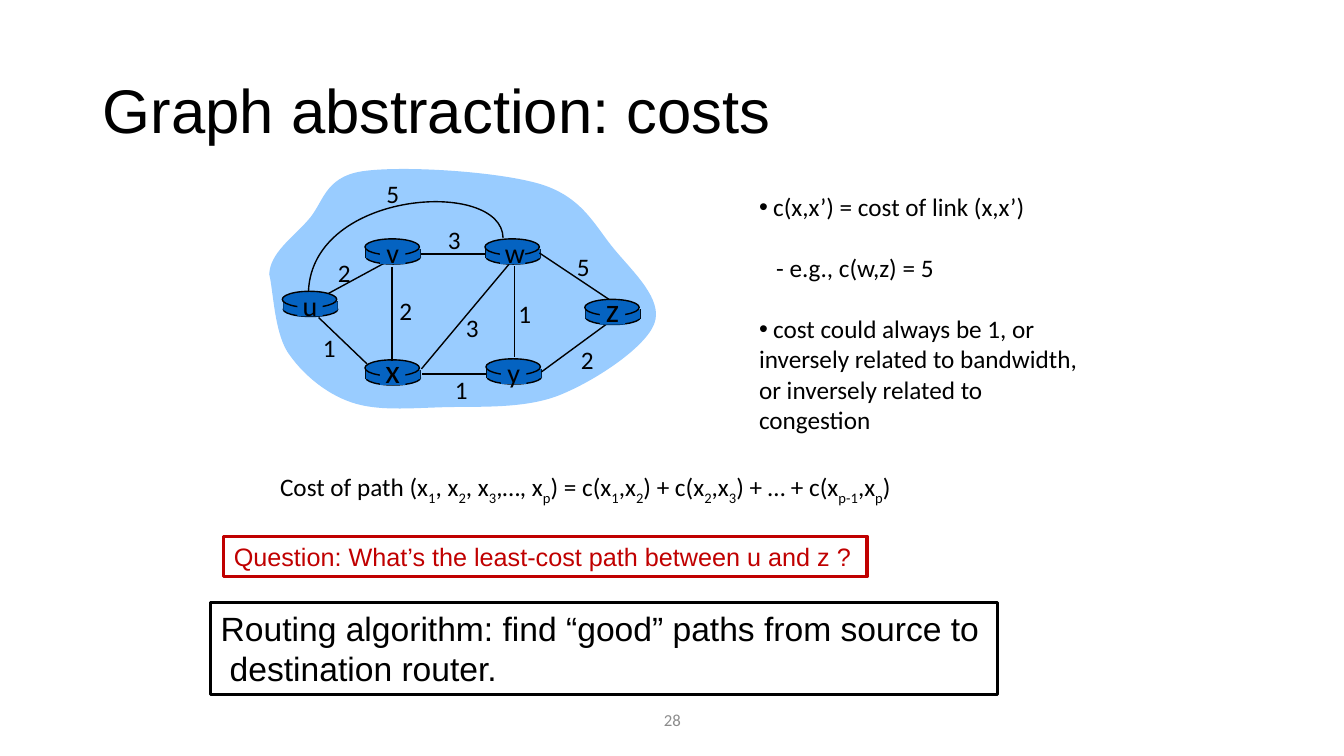
from lxml import etree
from pptx import Presentation
from pptx import util as u
from pptx.dml.color import RGBColor
from pptx.enum import shapes, text
from pptx.oxml.ns import qn

PX = 9144  # 100 px to the inch
BLACK, BLUE, SKY, RED, GREY = "000000", "0563C1", "99CCFF", "C00000", "8C8C8C"
KIND = shapes.MSO_SHAPE
LEFT, MID = text.PP_ALIGN.LEFT, text.PP_ALIGN.CENTER

# Top left of each router's lid, and the size of its name
NODES = {"u": (280, 289, 20), "x": (362, 357, 24), "v": (362, 237, 20),
         "w": (481, 237, 20), "y": (482, 356, 20), "z": (580, 297, 24)}
LINKS = [(510, 264, 510, 354), (389, 265, 389, 358), (418, 366, 505, 262),
         (537, 369, 601, 322), (482, 371, 419, 371), (364, 361, 316, 315),
         (481, 252, 418, 252), (604, 297, 535, 251)]
COSTS = [("2", 325, 250), ("2", 386, 288), ("1", 310, 325), ("3", 452, 305),
         ("1", 441, 366), ("1", 504, 291), ("2", 566, 337), ("5", 562, 244),
         ("3", 434, 218), ("5", 373, 172)]
# Start point, then two handles and an end point for each curve
CLOUD = [(267, 272), (268, 251), (290, 236), (305, 219), (321, 202), (321, 176),
         (359, 170), (398, 164), (495, 170), (537, 183), (578, 196), (590, 224),
         (609, 247), (628, 270), (658, 297), (649, 321), (640, 345), (590, 378),
         (555, 392), (520, 406), (474, 403), (440, 404), (405, 405), (374, 408),
         (348, 399), (322, 390), (299, 370), (285, 349), (272, 328), (271, 288),
         (267, 272)]
ARC = [(499, 236), (498, 177), (310, 188), (306, 289)]


def hue(code):
    return RGBColor.from_string(code)


def px(*vals):
    return [u.Emu(v * PX) for v in vals]


def paint(item, fill=None, line=None, width=1):
    item.shadow.inherit = False
    if fill:
        item.fill.solid()
        item.fill.fore_color.rgb = hue(fill)
    else:
        item.fill.background()
    if line:
        item.line.color.rgb = hue(line)
        item.line.width = u.Pt(width)
    else:
        item.line.fill.background()


def shape(slide, kind, box, fill=None, line=None, width=1):
    item = slide.shapes.add_shape(kind, *px(*box))
    paint(item, fill, line, width)
    return item


def link(slide, ends):
    line = slide.shapes.add_connector(shapes.MSO_CONNECTOR.STRAIGHT, *px(*ends))
    line.line.color.rgb = hue(BLACK)
    line.line.width = u.Pt(1)
    etree.SubElement(line._element.spPr, qn("a:effectLst"))


def curve(slide, points, fill=None, line=None):
    form = slide.shapes.build_freeform(*points[0], scale=PX)
    form.add_line_segments(points[1:], close=bool(fill))
    item = form.convert_to_shape()
    paint(item, fill, line)
    # Turn every three straight steps into one cubic curve
    steps = list(item._element.iter(qn("a:lnTo")))
    for i in range(0, len(steps), 3):
        bend = etree.Element(qn("a:cubicBezTo"))
        steps[i].addprevious(bend)
        for step in steps[i:i + 3]:
            bend.append(step[0])
            step.getparent().remove(step)


def write(para, words, size, font="Calibri", color=BLACK, align=LEFT):
    """Add runs; every second piece between bars is a subscript."""
    para.alignment = align
    for i, part in enumerate(words.split("|")):
        run = para.add_run()
        run.text = part
        run.font.size = u.Pt(size)
        run.font.name = font
        run.font.color.rgb = hue(color)
        if i % 2:
            run._r.get_or_add_rPr().set("baseline", "-25000")


def indent(para, left, bullet=False):
    props = para._p.get_or_add_pPr()
    props.set("marL", str(left * PX))
    props.set("indent", str(-left * PX if bullet else 0))
    if bullet:
        etree.SubElement(props, qn("a:buFont")).set("typeface", "Arial")
        etree.SubElement(props, qn("a:buChar")).set("char", "•")


def fit(item):
    frame = item.text_frame
    frame.word_wrap = False
    frame.auto_size = text.MSO_AUTO_SIZE.SHAPE_TO_FIT_TEXT
    frame.vertical_anchor = text.MSO_ANCHOR.TOP
    return frame


def label(slide, box, words, size=18, align=LEFT, color=BLACK):
    frame = fit(slide.shapes.add_textbox(*px(*box)))
    write(frame.paragraphs[0], words, size, color=color, align=align)
    return frame


def frame_box(slide, box, lines, size, color):
    frame = fit(shape(slide, KIND.RECTANGLE, box, line=color, width=2.25))
    for i, words in enumerate(lines):
        para = frame.add_paragraph() if i else frame.paragraphs[0]
        if i:
            indent(para, 9)
        write(para, words, size, "Arial", color)


def router(slide, x, y):
    shape(slide, KIND.OVAL, (x + 1, y + 11, 54, 14), BLUE, BLACK)
    for side in (x + 1, x + 55):
        link(slide, (side, y + 10, side, y + 19))
    shape(slide, KIND.RECTANGLE, (x + 1, y + 10, 54, 9), BLUE)
    shape(slide, KIND.OVAL, (x, y, 54, 16), BLUE, BLACK)


def graph(slide):
    curve(slide, CLOUD, fill=SKY)
    link(slide, (326, 291, 385, 259))
    for x, y, size in NODES.values():
        router(slide, x, y)
    for ends in LINKS:
        link(slide, ends)
    curve(slide, ARC, line=BLACK)
    for name, (x, y, size) in NODES.items():
        shape(slide, KIND.RECTANGLE, (x + 15, y + 2, 25, 23), BLUE)
        rise, tall = (8, 44) if size == 20 else (15, 51)
        label(slide, (x + 10, y - rise, 35, tall), name, size, MID)
    for cost, x, y in COSTS:
        label(slide, (x, y, 33, 40), cost, align=MID)


def notes(slide):
    # Words, left indent, bullet, space before
    rows = [("c(x,x’) = cost of link (x,x’)", 14, True, 0),
            ("- e.g., c(w,z) = 5", 17, False, 22),
            ("cost could always be 1, or", 14, True, 22),
            ("inversely related to bandwidth,", 0, False, 0),
            ("or inversely related to", 0, False, 0),
            ("congestion", 0, False, 0)]
    frame = fit(slide.shapes.add_textbox(*px(743, 185, 340, 252)))
    for i, (words, left, bullet, gap) in enumerate(rows):
        para = frame.add_paragraph() if i else frame.paragraphs[0]
        if gap:
            para.space_before = u.Pt(gap)
        indent(para, left, bullet)
        write(para, words, 18)


def head(slide, words):
    title = slide.shapes.title
    title.left, title.top, title.width, title.height = px(92, 40, 1150, 145)
    title.text_frame.vertical_anchor = text.MSO_ANCHOR.MIDDLE
    para = title.text_frame.paragraphs[0]
    para.line_spacing = 0.9
    write(para, words, 44, "Arial")


def main():
    deck = Presentation()
    deck.slide_width, deck.slide_height = px(1333, 750)
    slide = deck.slides.add_slide(deck.slide_layouts[5])
    head(slide, "Graph abstraction: costs")
    graph(slide)
    notes(slide)
    # Path cost, question and answer
    label(slide, (268, 463, 657, 40),
          "Cost of path (x|1|, x|2|, x|3|,…, x|p|) = c(x|1|,x|2|) + "
          "c(x|2|,x|3|) + … + c(x|p-1|,x|p|)")
    frame_box(slide, (222, 532, 638, 40),
              ["Question: What’s the least-cost path between u and z ?"], 18, RED)
    frame_box(slide, (209, 598, 780, 91),
              ["Routing algorithm: find “good” paths from source to",
               "destination router."], 24, BLACK)
    # Page number
    label(slide, (442, 699, 450, 32), "28", 12, MID, GREY)
    deck.save("out.pptx")


if __name__ == "__main__":
    main()
